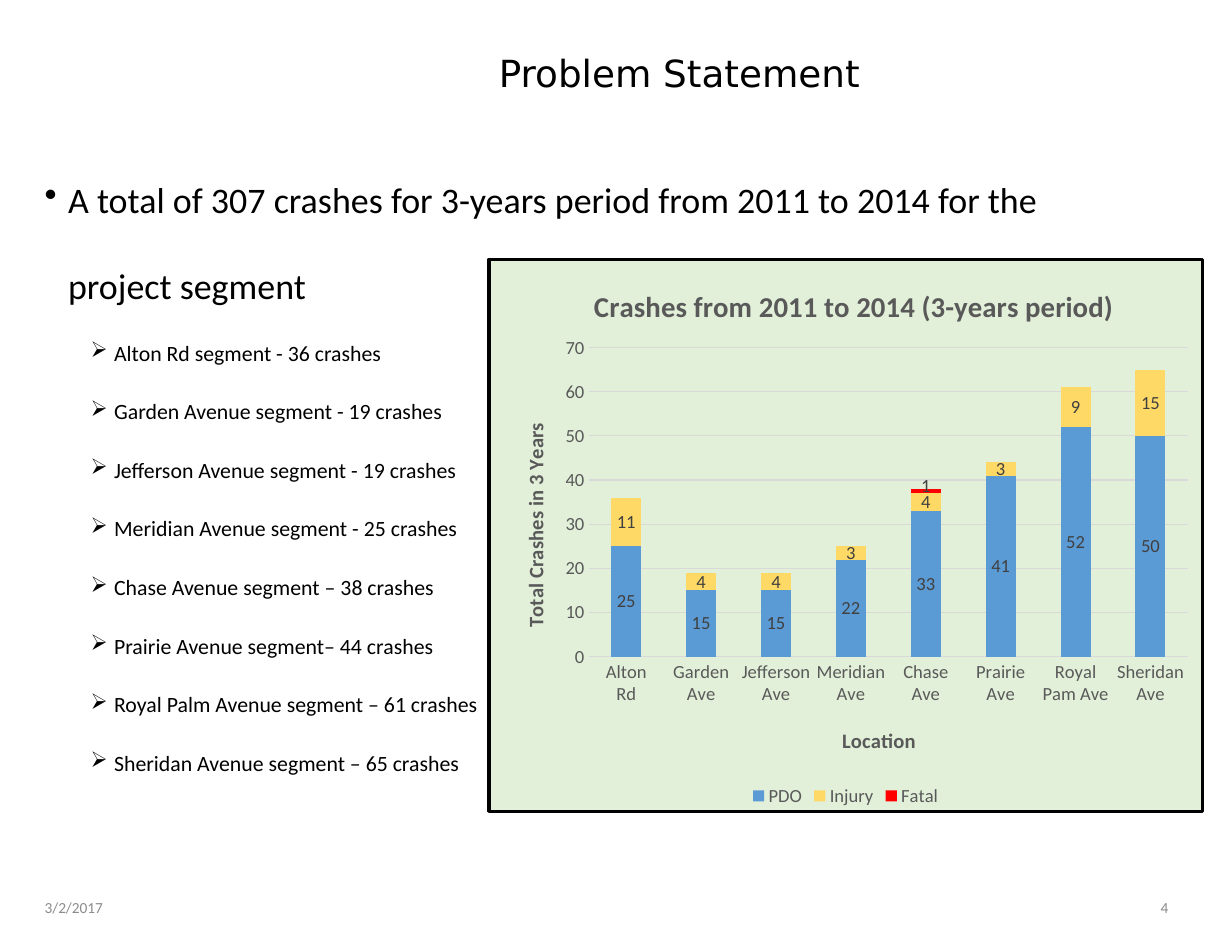
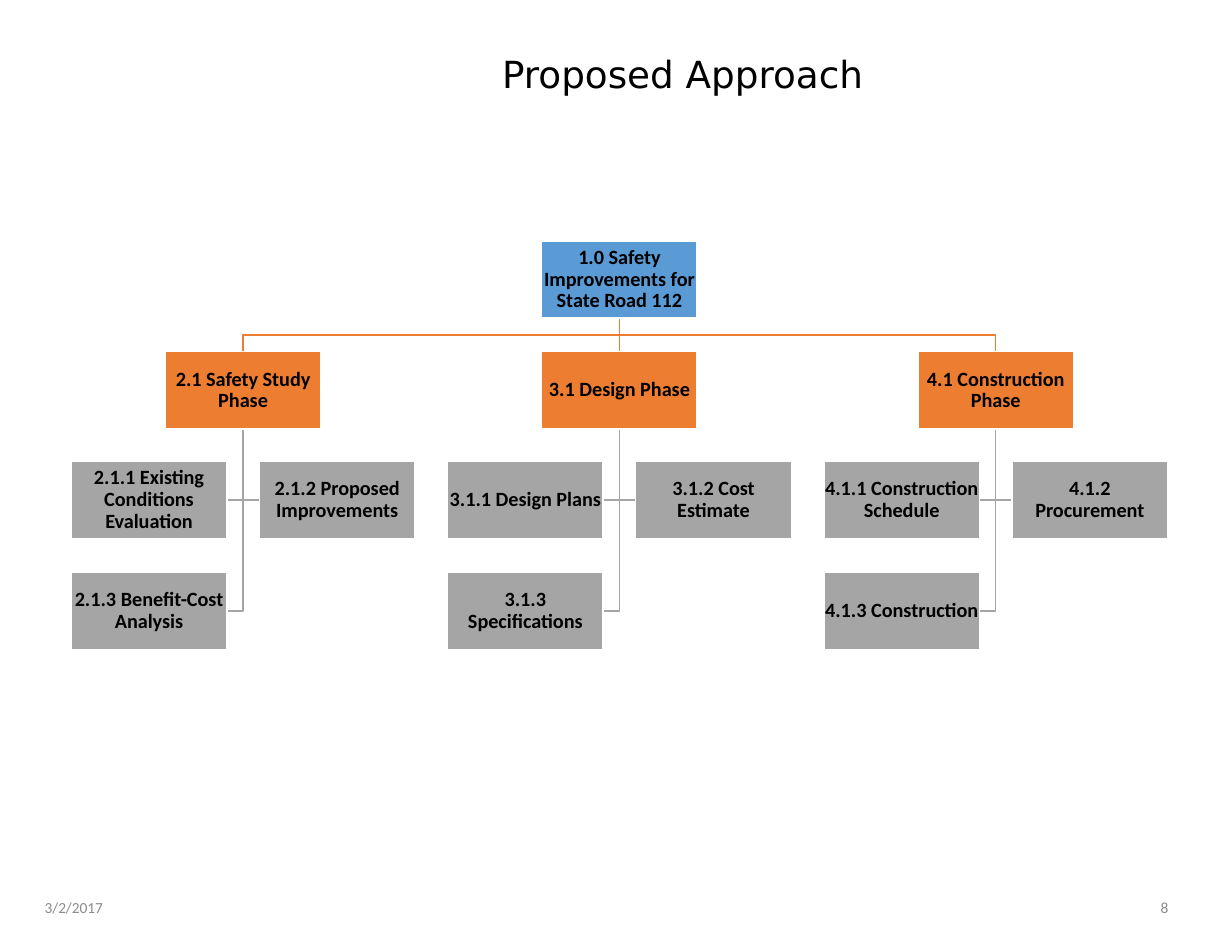
"""Build two slides on road crashes: a stacked chart and a work tree."""
from dataclasses import dataclass

from lxml.etree import SubElement as Sub
from pptx import Presentation
from pptx.chart.data import CategoryChartData as Data
from pptx.dml.color import RGBColor as RGB
from pptx.enum.chart import XL_CHART_TYPE as Kind
from pptx.enum.chart import XL_LABEL_POSITION as Spot
from pptx.enum.chart import XL_LEGEND_POSITION as Side
from pptx.enum.chart import XL_TICK_MARK as Tick
from pptx.enum.shapes import MSO_CONNECTOR as Link
from pptx.enum.shapes import MSO_SHAPE as Form
from pptx.enum.text import MSO_ANCHOR as Anchor
from pptx.enum.text import PP_ALIGN as Align
from pptx.oxml import parse_xml
from pptx.oxml.ns import nsdecls, qn
from pptx.util import Inches, Pt

BLACK = RGB(0x00, 0x00, 0x00)
WHITE = RGB(0xFF, 0xFF, 0xFF)
MUTED = RGB(0x8C, 0x8C, 0x8C)
SLATE = RGB(0x59, 0x59, 0x59)
DARK = RGB(0x40, 0x40, 0x40)
RULE = RGB(0xD9, 0xD9, 0xD9)
MINT = RGB(0xE2, 0xF0, 0xD9)
BLUE = RGB(0x5B, 0x9B, 0xD5)
GOLD = RGB(0xFF, 0xD9, 0x66)
RED = RGB(0xFF, 0x00, 0x00)
ORANGE = RGB(0xED, 0x7D, 0x31)
GREY = RGB(0xA5, 0xA5, 0xA5)
BODY = "Calibri"
HEAD = "DejaVu Sans"

LEAD = ("A total of 307 crashes for 3-years period from 2011 to 2014 "
        "for the project segment")
ROADS = (
    "Alton Rd segment - 36 crashes",
    "Garden Avenue segment - 19 crashes",
    "Jefferson Avenue segment - 19 crashes",
    "Meridian Avenue segment - 25 crashes",
    "Chase Avenue segment – 38 crashes",
    "Prairie Avenue segment– 44 crashes",
    "Royal Palm Avenue segment – 61 crashes",
    "Sheridan Avenue segment – 65 crashes",
)
PLACES = ("Alton\nRd", "Garden Ave", "Jefferson Ave", "Meridian Ave",
          "Chase\nAve", "Prairie Ave", "Royal Pam Ave", "Sheridan Ave")


@dataclass(frozen=True)
class Crash:
    """One series of the crash chart."""
    name: str
    vals: tuple
    color: RGB


@dataclass(frozen=True)
class Phase:
    """One branch of the work tree."""
    name: str
    tasks: tuple


CRASHES = (
    Crash("PDO", (25, 15, 15, 22, 33, 41, 52, 50), BLUE),
    Crash("Injury", (11, 4, 4, 3, 4, 3, 9, 15), GOLD),
    Crash("Fatal", (None,) * 4 + (1,) + (None,) * 3, RED),
)
ROOT = "1.0 Safety Improvements for State Road 112"
PHASES = (
    Phase("2.1 Safety Study Phase",
          ("2.1.1 Existing Conditions Evaluation",
           "2.1.2 Proposed Improvements", "2.1.3 Benefit-Cost Analysis")),
    Phase("3.1 Design Phase",
          ("3.1.1 Design Plans", "3.1.2 Cost Estimate",
           "3.1.3 Specifications")),
    Phase("4.1 Construction Phase",
          ("4.1.1 Construction Schedule", "4.1.2 Procurement",
           "4.1.3 Construction")),
)
ROWS = (2.15, 3.14, 4.12, 5.11)
MID, STEP, SHIFT = 5.53, 3.36, 0.84
WIDE, HIGH = 1.39, 0.69


def style(font, size: float, color: RGB, bold: bool = False,
          face: str = BODY) -> None:
    """Set the face, size, colour and weight of a font."""
    font.name, font.size, font.bold = face, Pt(size), bold
    font.color.rgb = color


def write(para, text: str, size: float, color: RGB = BLACK,
          bold: bool = False, face: str = BODY) -> None:
    """Add one styled run to a paragraph."""
    run = para.add_run()
    run.text = text
    style(run.font, size, color, bold, face)


def add_box(slide, left: float, top: float, width: float, height: float):
    """Add a wrapping text box and return its frame."""
    box = slide.shapes.add_textbox(Inches(left), Inches(top),
                                   Inches(width), Inches(height))
    box.text_frame.word_wrap = True
    return box.text_frame


def add_page(deck, title: str, left: float, top: float, number: str):
    """Add a slide with its title, date and page number."""
    slide = deck.slides.add_slide(deck.slide_layouts[5])
    head = slide.shapes.title
    head.left, head.top = Inches(left), Inches(top)
    head.width, head.height = Inches(8.39), Inches(1.23)
    head.text_frame.vertical_anchor = Anchor.MIDDLE
    para = head.text_frame.paragraphs[0]
    para.alignment, para.line_spacing = Align.CENTER, 0.9
    write(para, title, 24, face=HEAD)
    for text, spot, align in (("3/2/2017", 0.3, Align.LEFT),
                              (number, 8.05, Align.RIGHT)):
        frame = add_box(slide, spot, 7.88, 2.48, 0.45)
        frame.vertical_anchor = Anchor.MIDDLE
        frame.paragraphs[0].alignment = align
        write(frame.paragraphs[0], text, 9.9, MUTED)
    return slide


def add_point(para, text: str, mark: str, indent: float, size: float) -> None:
    """Fill a paragraph as a bulleted point with double line spacing."""
    props = para._p.get_or_add_pPr()
    props.set("marL", str(Inches(indent)))
    props.set("indent", str(-Inches(0.21)))
    Sub(props, qn("a:buChar")).set("char", mark)
    para.line_spacing = 2.0
    write(para, text, size)


def place(node, index: int, **parts: float) -> None:
    """Give a chart element a manual layout."""
    for old in node.findall(qn("c:layout")):
        node.remove(old)
    layout = node.makeelement(qn("c:layout"))
    manual = Sub(layout, qn("c:manualLayout"))
    if "w" in parts:
        Sub(manual, qn("c:layoutTarget")).set("val", "inner")
    if index == 0 or node.tag == qn("c:title"):
        for mode in ("xMode", "yMode"):
            Sub(manual, qn(f"c:{mode}")).set("val", "edge")
    for key, value in parts.items():
        Sub(manual, qn(f"c:{key}")).set("val", str(value))
    node.insert(index, layout)


def name_part(title, text: str, size: float, x: float, y: float,
              turn: int = 0) -> None:
    """Write and place a chart or axis title."""
    frame = title.text_frame
    write(frame.paragraphs[0], text, size, SLATE, True)
    frame._txBody.bodyPr.set("rot", str(turn * 60000))
    frame._txBody.bodyPr.set("vert", "horz")
    place(title._element, 1, x=x, y=y)


def add_graph(slide) -> None:
    """Add the stacked column chart of crashes."""
    data = Data()
    data.categories = PLACES
    for crash in CRASHES:
        data.add_series(crash.name, crash.vals)
    chart = slide.shapes.add_chart(
        Kind.COLUMN_STACKED, Inches(4.35), Inches(2.3), Inches(6.4),
        Inches(4.96), data).chart
    style(chart.font, 10, BLACK)
    root = chart._chartSpace
    root.find(qn("c:chart")).addnext(parse_xml(
        f'<c:spPr {nsdecls("c", "a")}><a:solidFill><a:srgbClr val="{MINT}"/>'
        f'</a:solidFill><a:ln w="{Pt(2.25)}"><a:solidFill>'
        f'<a:srgbClr val="{BLACK}"/></a:solidFill></a:ln></c:spPr>'))
    chart.has_title = True
    name_part(chart.chart_title, "Crashes from 2011 to 2014 (3-years period)",
              18.6, 0.14, 0.04)
    chart.has_legend = True
    chart.legend.position = Side.BOTTOM
    chart.legend.include_in_layout = False
    style(chart.legend.font, 12, SLATE)

    across, up = chart.category_axis, chart.value_axis
    for axis in (across, up):
        axis.major_tick_mark = axis.minor_tick_mark = Tick.NONE
        style(axis.tick_labels.font, 12, SLATE)
    up.minimum_scale, up.maximum_scale, up.major_unit = 0, 70, 10
    up.format.line.fill.background()
    up.has_major_gridlines = True
    for line in (across.format.line, up.major_gridlines.format.line):
        line.color.rgb, line.width = RULE, Pt(0.75)
    name_part(across.axis_title, "Location", 13.3, 0.49, 0.84)
    name_part(up.axis_title, "Total Crashes in 3 Years", 13.3, 0.04, 0.29, -90)

    plot = chart.plots[0]
    plot.gap_width, plot.overlap = 150, 100
    plot.vary_by_categories = False
    place(root.find(".//" + qn("c:plotArea")), 0,
          x=0.14, y=0.16, w=0.84, h=0.56)
    for crash, series in zip(CRASHES, plot.series):
        series.format.fill.solid()
        series.format.fill.fore_color.rgb = crash.color
        labels = series.data_labels
        labels.show_value, labels.position = True, Spot.CENTER
        style(labels.font, 12, DARK)
    fatal = plot.series[2]
    label = fatal.points[4].data_label
    label.position = Spot.CENTER
    style(label.font, 12, DARK)
    place(fatal._element.find(".//" + qn("c:dLbl")), 1, x=0, y=-0.01)


def add_node(slide, text: str, mid: float, row: int, color: RGB):
    """Add a box of the work tree, centred on mid."""
    node = slide.shapes.add_shape(
        Form.RECTANGLE, Inches(mid - WIDE / 2), Inches(ROWS[row]),
        Inches(WIDE), Inches(HIGH))
    node.shadow.inherit = False
    node.fill.solid()
    node.fill.fore_color.rgb = color
    node.line.color.rgb, node.line.width = WHITE, Pt(1)
    frame = node.text_frame
    frame.word_wrap, frame.vertical_anchor = True, Anchor.MIDDLE
    frame.margin_left = frame.margin_right = Inches(0.01)
    frame.margin_top = frame.margin_bottom = Inches(0.01)
    para = frame.paragraphs[0]
    para.alignment, para.line_spacing = Align.CENTER, 0.9
    write(para, text, 13, bold=True)
    return node


def add_bend(slide, color: RGB, *dots: tuple) -> None:
    """Draw an open bent line through the dots."""
    spots = [(Inches(x), Inches(y)) for x, y in dots]
    pen = slide.shapes.build_freeform(*spots[0], scale=1.0)
    pen.add_line_segments(spots[1:], close=False)
    bend = pen.convert_to_shape()
    bend.shadow.inherit = False
    bend.fill.background()
    bend.line.color.rgb, bend.line.width = color, Pt(1)


def add_stem(slide, upper, lower) -> None:
    """Join two stacked boxes by a straight line set behind them."""
    stem = slide.shapes.add_connector(Link.STRAIGHT, 0, 0, 0, 0)
    stem.begin_connect(upper, 2)
    stem.end_connect(lower, 0)
    stem.line.color.rgb, stem.line.width = ORANGE, Pt(1)
    Sub(stem._element.spPr, qn("a:effectLst"))
    upper._element.addprevious(stem._element)


def add_tree(slide) -> None:
    """Add the work tree: lines first, then the boxes."""
    mids = [MID + STEP * (col - 1) for col in range(len(PHASES))]
    base, gap = ROWS[0] + HIGH, SHIFT - WIDE / 2
    fork = (base + ROWS[1]) / 2
    for mid in mids:
        for row, side in ((3, -1), (2, 1), (2, -1)):
            level = ROWS[row] + HIGH / 2
            add_bend(slide, GREY, (mid, ROWS[1] + HIGH), (mid, level),
                     (mid + side * gap, level))
        if mid != MID:
            add_bend(slide, ORANGE, (MID, base), (MID, fork), (mid, fork),
                     (mid, ROWS[1]))
    root = add_node(slide, ROOT, MID, 0, BLUE)
    for mid, phase in zip(mids, PHASES):
        node = add_node(slide, phase.name, mid, 1, ORANGE)
        if mid == MID:
            add_stem(slide, root, node)
        for item, task in enumerate(phase.tasks):
            side = 1 if item % 2 else -1
            add_node(slide, task, mid + side * SHIFT, 2 + item // 2, GREY)


def main() -> None:
    """Build and save the deck."""
    deck = Presentation()
    deck.slide_width, deck.slide_height = Inches(11), Inches(8.5)
    slide = add_page(deck, "Problem Statement", 1.87, 0.06, "4")
    frame = add_box(slide, 0.3, 1.15, 9.79, 6.57)
    add_point(frame.paragraphs[0], LEAD, "•", 0.21, 23.1)
    for road in ROADS:
        para = frame.add_paragraph()
        para.level, para.space_before = 1, Pt(4.1)
        add_point(para, road, "➢", 0.62, 14)
    add_graph(slide)
    add_tree(add_page(deck, "Proposed Approach", 1.9, 0.07, "8"))
    deck.save("out.pptx")


if __name__ == "__main__":
    main()
